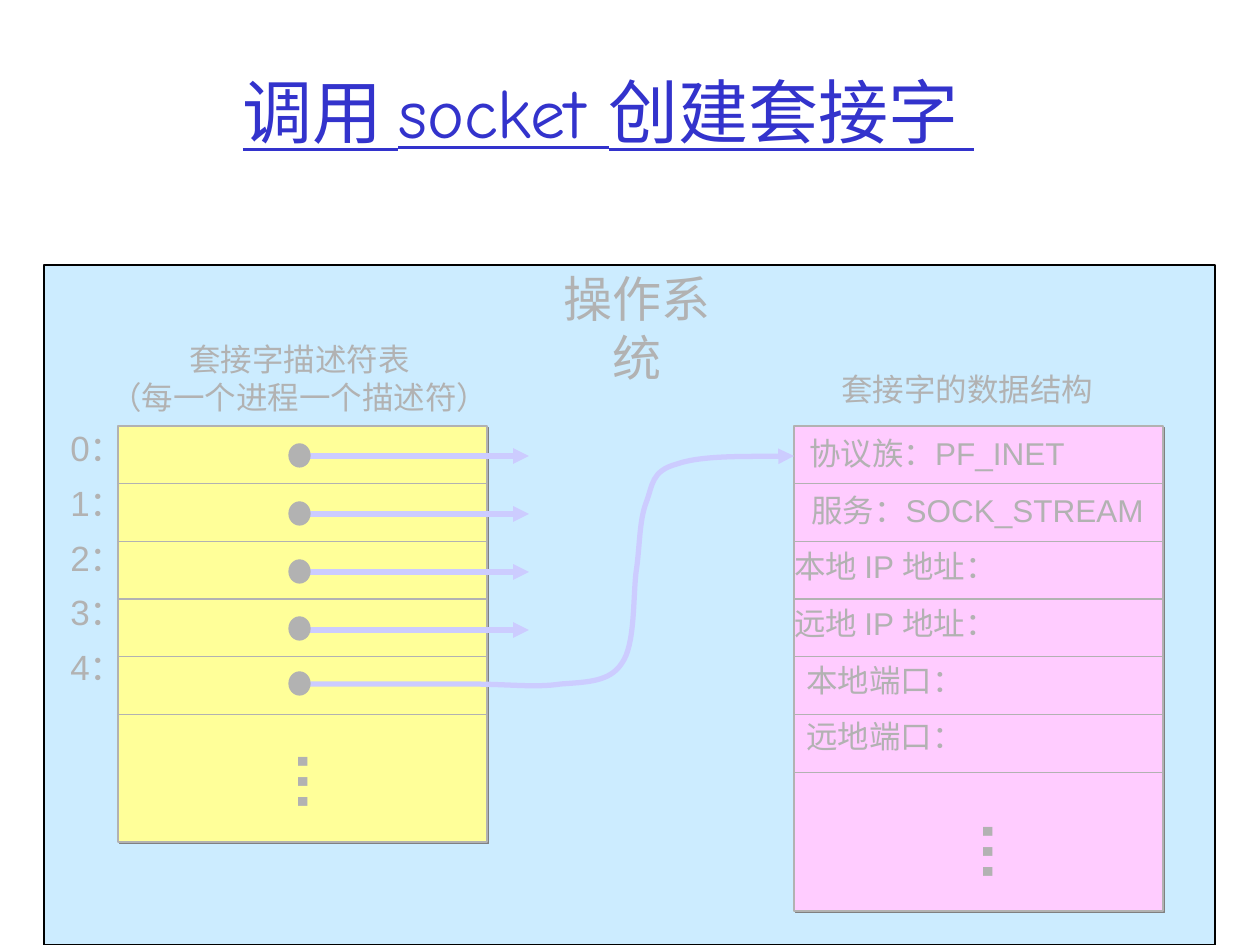
from lxml import etree
from pptx import Presentation
from pptx.dml.color import RGBColor
from pptx.enum import shapes, text
from pptx.oxml.ns import qn
from pptx.util import Emu, Pt

PX = 914400 / 126

INK = RGBColor(0xB2, 0xB2, 0xB2)
BLACK = RGBColor(0, 0, 0)
TITLE_BLUE = RGBColor(0x33, 0x33, 0xCC)
SYSTEM_BLUE = RGBColor(0xCC, 0xEC, 0xFF)
TABLE_YELLOW = RGBColor(0xFF, 0xFF, 0x99)
STRUCT_PINK = RGBColor(0xFF, 0xCC, 0xFF)
ARROW_LILAC = RGBColor(0xCC, 0xCC, 0xFF)

LEFT, CENTER = text.PP_ALIGN.LEFT, text.PP_ALIGN.CENTER

TITLE = "调用 socket 创建套接字 "
# lines, (left, top, width, height), size, alignment
HEADINGS = [
    (["操作系统"], (527, 262, 220, 72), 28, CENTER),
    (["套接字描述符表", "（每一个进程一个描述符）"], (98, 334, 403, 88), 18, CENTER),
    (["套接字的数据结构"], (829, 364, 277, 50), 18, CENTER),
]
DESCRIPTORS = ["0：", "1：", "2：", "3：", "4："]
# line, left, width, alignment
FIELDS = [
    ("协议族：PF_INET", 793, 288, CENTER),
    ("服务：SOCK_STREAM", 795, 365, CENTER),
    ("本地 IP 地址：", 782, 252, LEFT),
    ("远地 IP 地址：", 782, 252, LEFT),
    ("本地端口：", 794, 183, LEFT),
    ("远地端口：", 794, 183, LEFT),
]
ELLIPSES = [(280, 738), (965, 808)]

SYSTEM_BOX = (44, 265, 1171, 680)
TABLE_BOX = (118, 426, 369, 416)
STRUCT_BOX = (794, 426, 369, 485)
ROW, FIELD_STEP, ARROW_STEP = 57.7, 56.6, 58
DOT_LEFT, DOT_TOPS = 289, [444, 502, 560, 617, 672]
ARROW_START, ARROW_END, ARROW_TOP = 297, 529, 456
# a straight start, then three points for each Bézier segment
LINK_START, LINK_STRAIGHT_END = (297, 684), (466, 684)
LINK_CURVES = [
    (510, 684), (534, 688), (561, 684),
    (587, 682), (610, 682), (622, 663),
    (635, 645), (633, 600), (636, 573),
    (640, 547), (639, 522), (646, 503),
    (653, 485), (651, 471), (677, 464),
    (702, 455), (770, 457), (794, 456),
]


def px(*lengths):
    return [Emu(round(length * PX)) for length in lengths]


def add_filled(page, kind, place, fill, line=INK):
    shape = page.shapes.add_shape(kind, *px(*place))
    shape.shadow.inherit = False
    shape.fill.solid()
    shape.fill.fore_color.rgb = fill
    shape.line.color.rgb = line
    shape.line.width = Pt(0.75)
    return shape


def add_drop_shadow(shape):
    effects = shape._element.spPr.find(qn("a:effectLst"))
    shadow = etree.SubElement(effects, qn("a:outerShdw"), dist=str(Pt(1.4)),
                              dir="2700000", algn="ctr", rotWithShape="0")
    etree.SubElement(shadow, qn("a:srgbClr"), val="808080")


def add_rows(page, place, fill, count):
    """Draw a shadowed box with count evenly spaced rules across it."""
    left, top, width, _ = place
    add_drop_shadow(add_filled(page, shapes.MSO_SHAPE.RECTANGLE, place, fill))
    for row in range(1, count + 1):
        y = top + row * ROW
        add_line(page, (left, y), (left + width, y), INK, 0.75)


def add_line(page, start, end, color, width):
    line = page.shapes.add_connector(shapes.MSO_CONNECTOR.STRAIGHT, *px(*start, *end))
    line.line.color.rgb = color
    line.line.width = Pt(width)
    etree.SubElement(line._element.spPr, qn("a:effectLst"))
    return line


def add_arrowhead(shape):
    etree.SubElement(shape.line._get_or_add_ln(), qn("a:tailEnd"), type="triangle")


def add_link(page):
    """Draw the curved arrow from descriptor 4 to the data structure."""
    builder = page.shapes.build_freeform(*LINK_START, scale=PX)
    builder.add_line_segments([LINK_STRAIGHT_END] + LINK_CURVES, close=False)
    link = builder.convert_to_shape()
    link.shadow.inherit = False
    link.fill.background()
    link.line.color.rgb = ARROW_LILAC
    link.line.width = Pt(3)
    add_arrowhead(link)
    outline = link._element.spPr.find(".//" + qn("a:path"))
    steps = outline.findall(qn("a:lnTo"))[1:]
    for first in range(0, len(steps), 3):
        curve = etree.SubElement(outline, qn("a:cubicBezTo"))
        for step in steps[first:first + 3]:
            curve.append(step[0])
            outline.remove(step)


def add_text(page, lines, place, size, align=LEFT, spacing=None, bold=None):
    box = page.shapes.add_textbox(*px(*place))
    frame = box.text_frame
    frame.word_wrap = False
    frame.auto_size = text.MSO_AUTO_SIZE.SHAPE_TO_FIT_TEXT
    for number, line in enumerate(lines):
        para = frame.add_paragraph() if number else frame.paragraphs[0]
        para.alignment = align
        para.line_spacing = spacing
        span = para.add_run()
        span.text = line
        span.font.name = "Arial"
        span.font.size = Pt(size)
        span.font.bold = bold
        span.font.color.rgb = INK
    return box


def add_title(page):
    title = page.shapes.title
    title.left, title.top, title.width, title.height = px(73, 32, 1071, 158)
    frame = title.text_frame
    frame.auto_size = text.MSO_AUTO_SIZE.NONE
    frame.vertical_anchor = text.MSO_ANCHOR.MIDDLE
    para = frame.paragraphs[0]
    para.alignment = CENTER
    span = para.add_run()
    span.text = TITLE
    span.font.name = "Comic Neue"
    span.font.size = Pt(40)
    span.font.underline = True
    span.font.color.rgb = TITLE_BLUE


def main():
    deck = Presentation()
    deck.slide_width, deck.slide_height = px(1260, 945)
    page = deck.slides.add_slide(deck.slide_layouts[5])
    add_title(page)

    add_filled(page, shapes.MSO_SHAPE.RECTANGLE, SYSTEM_BOX, SYSTEM_BLUE, BLACK)
    add_rows(page, TABLE_BOX, TABLE_YELLOW, len(DESCRIPTORS))
    add_rows(page, STRUCT_BOX, STRUCT_PINK, len(FIELDS))

    for heading in HEADINGS:
        add_text(page, *heading)
    add_text(page, DESCRIPTORS, (58, 408, 88, 286), 20, spacing=1.3)
    for row, (line, left, width, align) in enumerate(FIELDS):
        add_text(page, [line], (left, 428 + row * FIELD_STEP, width, 50), 18, align)
    for left, top in ELLIPSES:
        add_text(page, ["…"], (left, top, 88, 88), 36, CENTER, bold=True).rotation = 90

    for row in range(len(DESCRIPTORS) - 1):
        y = ARROW_TOP + row * ARROW_STEP
        add_arrowhead(add_line(page, (ARROW_START, y), (ARROW_END, y), ARROW_LILAC, 3))
    add_link(page)
    for top in DOT_TOPS:
        add_filled(page, shapes.MSO_SHAPE.OVAL, (DOT_LEFT, top, 21, 23), INK)

    deck.save("out.pptx")


if __name__ == "__main__":
    main()
